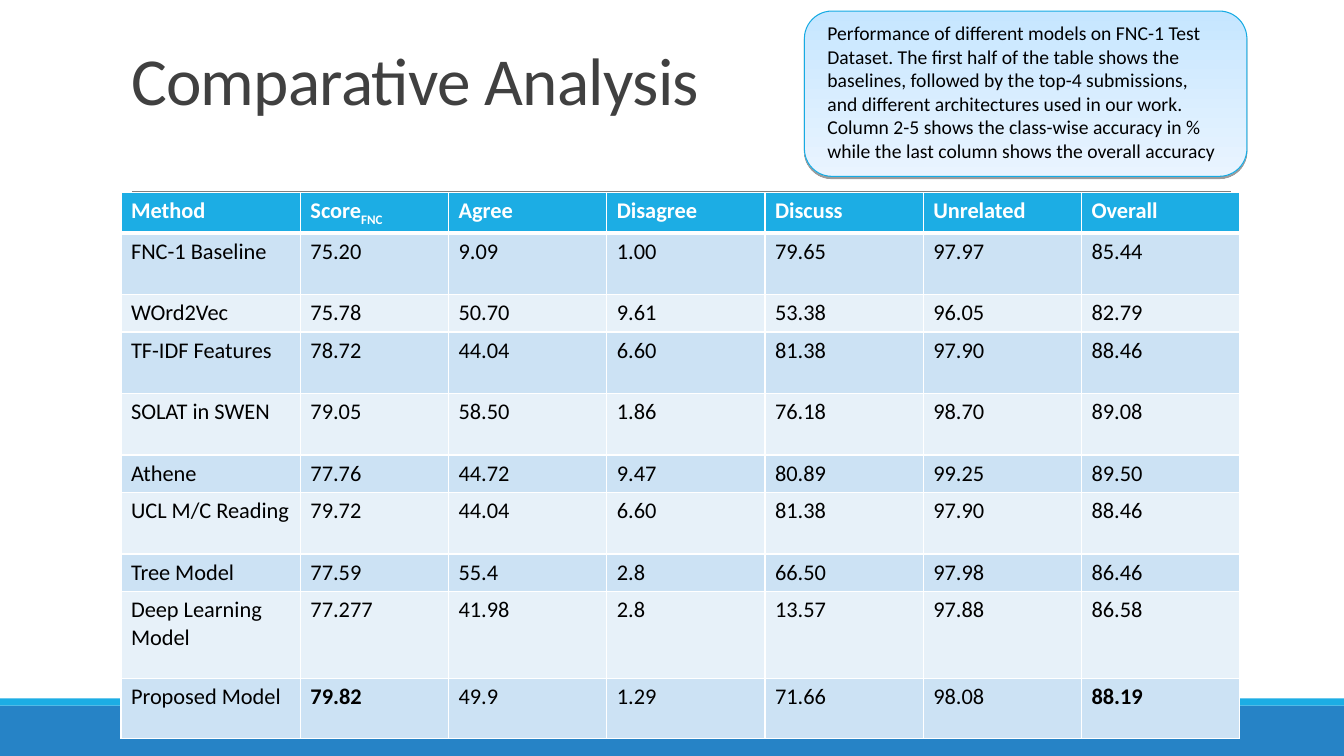
from collections import namedtuple

from lxml import etree
from pptx import Presentation
from pptx import util as u
from pptx.dml.color import RGBColor
from pptx.enum import shapes, text
from pptx.oxml.ns import qn

CELL = u.Inches(0.1)
COLUMNS, ROWS = 133.33, 75
FONT = "Calibri"
COLORS = {
    "band": "2683C6", "accent": "1CADE4", "rule": "808080", "title": "404040",
    "callout_top": "C6E6FF", "callout_bottom": "E9F4FF", "callout_edge": "16ABE3",
    "odd": "CCE2F4", "even": "E7F1F9", "white": "FFFFFF", "black": "000000",
}
Box = namedtuple("Box", "left top width height")

TITLE = "Comparative Analysis"
CALLOUT = (
    "Performance of diﬀerent models on FNC-1 Test Dataset. The ﬁrst half of the table "
    "shows the baselines, followed by the top-4 submissions, and diﬀerent architectures "
    "used in our work. Column 2-5 shows the class-wise accuracy in % while the last "
    "column shows the overall accuracy"
)
RESULTS = [
    ["Method", "Score", "Agree", "Disagree", "Discuss", "Unrelated", "Overall"],
    ["FNC-1 Baseline", "75.20", "9.09", "1.00", "79.65", "97.97", "85.44"],
    ["WOrd2Vec", "75.78", "50.70", "9.61", "53.38", "96.05", "82.79"],
    ["TF-IDF Features", "78.72", "44.04", "6.60", "81.38", "97.90", "88.46"],
    ["SOLAT in SWEN", "79.05", "58.50", "1.86", "76.18", "98.70", "89.08"],
    ["Athene", "77.76", "44.72", "9.47", "80.89", "99.25", "89.50"],
    ["UCL M/C Reading", "79.72", "44.04", "6.60", "81.38", "97.90", "88.46"],
    ["Tree Model", "77.59", "55.4", "2.8", "66.50", "97.98", "86.46"],
    ["Deep Learning Model", "77.277", "41.98", "2.8", "13.57", "97.88", "86.58"],
    ["Proposed Model", "79.82", "49.9", "1.29", "71.66", "98.08", "88.19"],
]
COLUMN_WIDTHS = [17.8, 14.7] + [15.7] * 5
ROW_HEIGHTS = [4, 6.1, 3.7, 6.1, 6.1, 3.7, 6.1, 3.7, 8.6, 6]
BOLD_RESULTS = {(9, 1), (9, 6)}


def color(name):
    """Return the named colour."""
    return RGBColor.from_string(COLORS[name])


def cells(count):
    """Return the length of a number of grid cells."""
    return u.Emu(round(count * CELL))


def place(box):
    """Return the four slide lengths of a grid box."""
    return [cells(value) for value in box]


def format_run(run, size, name, bold=False):
    """Give a run its font, size, colour and weight."""
    run.font.name, run.font.size, run.font.bold = FONT, u.Pt(size), bold
    run.font.color.rgb = color(name)


def add_footer(slide, box):
    """Draw the thin accent strip above the footer band."""
    strip = 0.7
    parts = [
        (Box(box.left, box.top + strip, box.width, box.height - strip), "band"),
        (Box(box.left, box.top, box.width, strip), "accent"),
    ]
    for part, name in parts:
        shape = slide.shapes.add_shape(shapes.MSO_SHAPE.RECTANGLE, *place(part))
        shape.shadow.inherit = False
        shape.fill.solid()
        shape.fill.fore_color.rgb = color(name)
        shape.line.fill.background()


def add_title(slide, box):
    """Fill the title placeholder and draw the rule under it."""
    title = slide.shapes.title
    title.left, title.top, title.width, title.height = place(box)
    frame = title.text_frame
    frame.text = TITLE
    frame.word_wrap = True
    frame.auto_size = text.MSO_AUTO_SIZE.NONE
    frame.vertical_anchor = text.MSO_ANCHOR.BOTTOM
    paragraph = frame.paragraphs[0]
    paragraph.alignment = text.PP_ALIGN.LEFT
    paragraph.line_spacing = 0.85
    run = paragraph.runs[0]
    format_run(run, 48, "title")
    run.font._element.set("spc", "-50")

    rule_left, rule_top = cells(box.left + 1.1), cells(19)
    rule = slide.shapes.add_connector(
        shapes.MSO_CONNECTOR.STRAIGHT,
        rule_left, rule_top, rule_left + cells(box.width - 1), rule_top)
    rule.line.color.rgb = color("rule")
    rule.line.width = u.Pt(0.5)
    etree.SubElement(rule._element.spPr, qn("a:effectLst"))


def add_callout(slide, box):
    """Draw the rounded gradient panel."""
    panel = slide.shapes.add_shape(shapes.MSO_SHAPE.ROUNDED_RECTANGLE, *place(box))
    panel.fill.gradient()
    panel.fill.gradient_angle = 270
    for stop, name in zip(panel.fill.gradient_stops, ("callout_top", "callout_bottom")):
        stop.color.rgb = color(name)
    for stop, position in zip(panel.fill.gradient_stops, (0, 1)):
        stop.position = position
    panel.line.color.rgb = color("callout_edge")
    panel.line.width = u.Pt(0.75)
    panel.shadow.inherit = False
    effects = panel._element.spPr.find(qn("a:effectLst"))
    shadow = etree.SubElement(effects, qn("a:outerShdw"), blurRad="0",
                              dist=str(u.Pt(1.6)), dir="5400000", rotWithShape="0")
    tint = etree.SubElement(shadow, qn("a:srgbClr"), val=COLORS["black"])
    etree.SubElement(tint, qn("a:alpha"), val="38000")


def add_callout_text(slide, box):
    """Write the explanation over the panel."""
    frame = slide.shapes.add_textbox(*place(box)).text_frame
    frame.word_wrap = True
    frame.text = CALLOUT
    format_run(frame.paragraphs[0].runs[0], 14, "black")


def add_borders(cell, row):
    """Give a cell white borders, thick between header and body."""
    widths = {"lnL": 0.96, "lnR": 0.96,
              "lnT": 3 if row == 1 else 0.96, "lnB": 3 if row == 0 else 0.96}
    properties = cell._tc.get_or_add_tcPr()
    for side, width in widths.items():
        line = etree.SubElement(properties, qn(f"a:{side}"), w=str(u.Pt(width)))
        fill = etree.SubElement(line, qn("a:solidFill"))
        etree.SubElement(fill, qn("a:srgbClr"), val=COLORS["white"])


def add_results(slide, box):
    """Build the table of model scores."""
    table = slide.shapes.add_table(len(RESULTS), len(RESULTS[0]), *place(box)).table
    for column, width in zip(table.columns, COLUMN_WIDTHS):
        column.width = cells(width)
    for row, height in zip(table.rows, ROW_HEIGHTS):
        row.height = cells(height)
    for i, values in enumerate(RESULTS):
        header = i == 0
        fill = "accent" if header else ("odd" if i % 2 else "even")
        for j, value in enumerate(values):
            cell = table.cell(i, j)
            add_borders(cell, i)
            cell.fill.solid()
            cell.fill.fore_color.rgb = color(fill)
            cell.text_frame.text = value
            paragraph = cell.text_frame.paragraphs[0]
            if value == "Score":
                subscript = paragraph.add_run()
                subscript.text = "FNC"
                subscript.font._element.set("baseline", "-25000")
            for run in paragraph.runs:
                format_run(run, 16, "white" if header else "black",
                           header or (i, j) in BOLD_RESULTS)


def main():
    """Build and save the presentation."""
    presentation = Presentation()
    presentation.slide_width = cells(COLUMNS)
    presentation.slide_height = cells(ROWS)
    slide = presentation.slides.add_slide(presentation.slide_layouts[5])
    add_footer(slide, Box(0, 69.3, COLUMNS, 5.7))
    add_title(slide, Box(12, 3.4, 110, 8.9))
    add_callout(slide, Box(79.8, 1.1, 43.9, 16.4))
    add_results(slide, Box(12, 19.1, sum(COLUMN_WIDTHS), sum(ROW_HEIGHTS)))
    add_callout_text(slide, Box(81.1, 1.6, 40.9, 19.6))
    presentation.save("out.pptx")


if __name__ == "__main__":
    main()
